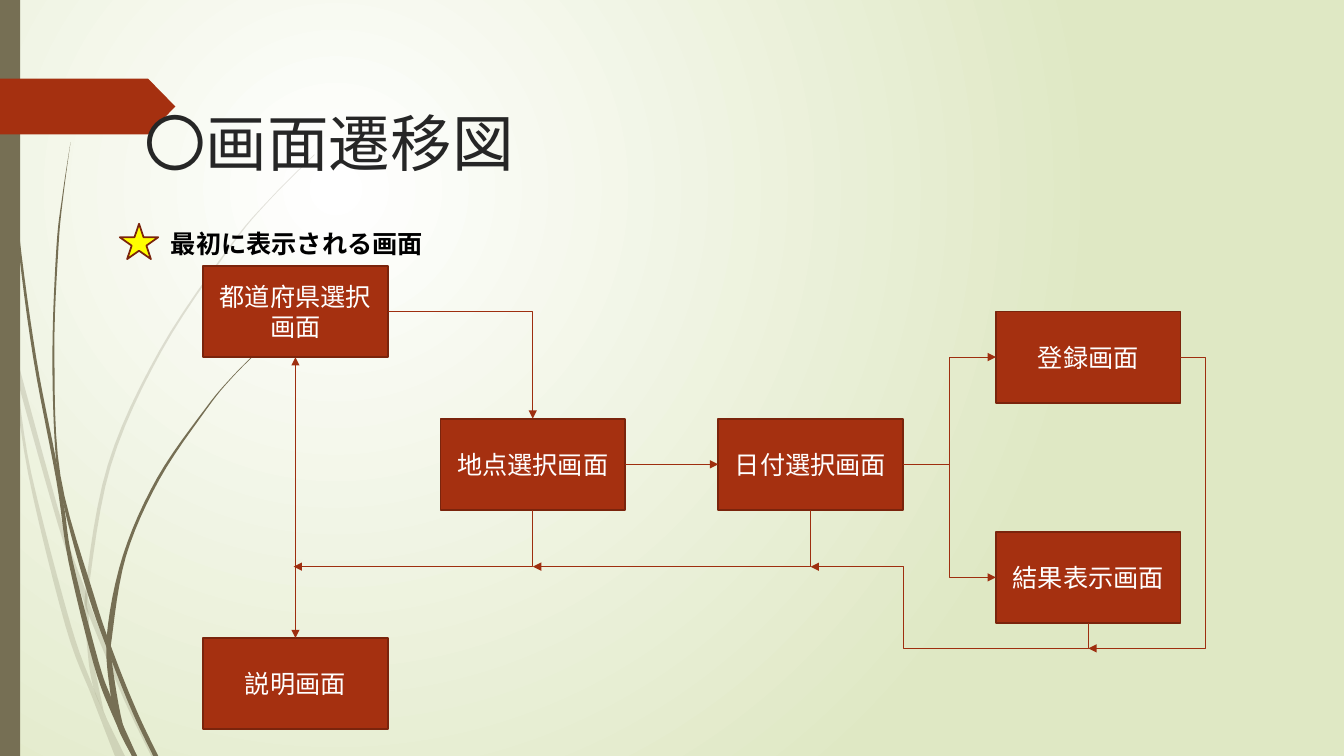
from lxml import etree
from pptx import Presentation
from pptx.dml.color import RGBColor
from pptx.enum import dml, shapes, text
from pptx.oxml import ns
from pptx.util import Cm, Pt

THEME = {
    "red": "A53010", "edge": "7A240C", "arrow": "9E2E0F", "olive": "766F54",
    "star": "FFFF00", "white": "FFFFFF", "black": "000000", "dark": "262626",
    "glow": ("FFFFFF", "DFE8C4"), "body": "TeX Gyre Adventor", "head": "Arial",
    "title": 44, "text": 18, "rim": 1.25, "thin": 0.75,
}
TITLE = "〇画面遷移図"
LABEL = "最初に表示される画面"
SIZE = (4.65, 2.3)
BOXES = {
    "pref": ("都道府県選択画面", 5.12, 6.7),
    "spot": ("地点選択画面", 11.1, 10.55),
    "date": ("日付選択画面", 18.1, 10.55),
    "entry": ("登録画面", 25.1, 7.85),
    "result": ("結果表示画面", 25.1, 13.4),
    "guide": ("説明画面", 5.12, 16.08),
}
TOP, LEFT, BOTTOM, RIGHT = range(4)
RAIL, LOW = 14.28, 16.34
ARROWS = [
    (("spot", RIGHT), ("date", LEFT), "line", {}),
    (("date", RIGHT), ("entry", LEFT), "bentConnector3", {}),
    (("date", RIGHT), ("result", LEFT), "bentConnector3", {}),
    (("pref", BOTTOM), ("guide", TOP), "line", {"both": True}),
    (("spot", BOTTOM), (7.4, RAIL), "bentConnector2", {"turn": True}),
    (("pref", RIGHT), ("spot", TOP), "bentConnector2", {}),
    (("date", BOTTOM), (13.43, RAIL), "bentConnector2", {"turn": True}),
    (("result", BOTTOM), (20.43, RAIL), "bentConnector4",
     {"turn": True, "bends": (-44900, 66600)}),
    (("entry", RIGHT), (27.43, LOW), "bentConnector4",
     {"bends": (-27400, 100000)}),
]
INCH = 2.54
PALE = [
    ([(0, 2.99), (.1, 3.44), (.17, 3.76), (.58, 5.22), (.84, 5.99),
      (.88, 6.1), (1.23, 6.94), (1.5, 7.5)],
     [(1.55, 7.5), (1.27, 6.92), (.92, 6.07), (.85, 5.86), (.62, 5.2),
      (.14, 3.45), (.09, 3.22), (0, 2.82)]),
    ([(.11, 3.5), (.28, 4.7), (.65, 6.21), (.92, 6.93), (1.14, 7.5)],
     [(1.24, 7.5), (1.05, 7.11), (.93, 6.83), (.7, 6.19), (.31, 4.69),
      (.17, 3.76)]),
    ([(3.12, 1.53), (2.68, 1.97), (2.28, 2.44), (1.58, 3.48), (1.07, 4.61),
      (.85, 5.84), (.87, 6.46), (.93, 6.83), (1.05, 7.11)],
     [(1.03, 7.06), (.91, 6.46), (.88, 6.1), (.88, 5.84), (1.1, 4.62),
      (1.6, 3.49), (2.29, 2.45), (2.68, 1.98), (3.12, 1.54)]),
]
DEEP = [
    ([(.03, 0), (.07, 1.1), (.17, 2.33), (.33, 3.55), (.56, 4.77),
      (.68, 5.57), (.93, 6.59), (1.11, 7.08), (1.31, 7.5)],
     [(1.36, 7.5), (1.22, 7.19), (1.1, 6.91), (.98, 6.57), (.72, 5.56),
      (.64, 5.05), (.55, 4.53), (.36, 3.55), (.19, 2.32), (.08, 1.09),
      (.04, 0)]),
    ([(.7, 1.41), (.62, 1.93), (.56, 2.45), (.52, 3.49), (.55, 4.49),
      (.64, 5.05), (.88, 5.92), (1.11, 6.56), (1.32, 7.08), (1.52, 7.5)],
     [(1.57, 7.5), (1.36, 7.06), (1.13, 6.49), (.93, 5.9), (.6, 4.72),
      (.54, 3.49), (.58, 2.45), (.63, 1.93), (.7, 1.41)]),
    ([(2.6, 3.44), (2.31, 3.73), (2.04, 4.05), (1.56, 4.74), (1.22, 5.51),
      (1.06, 6.31), (1.1, 6.91), (1.17, 7.22), (1.31, 7.5)],
     [(1.36, 7.5), (1.22, 7.19), (1.11, 6.56), (1.11, 6.33), (1.25, 5.52),
      (1.58, 4.76), (2.05, 4.06), (2.31, 3.74), (2.61, 3.44)]),
]


def tint(name):
    return RGBColor.from_string(THEME.get(name, name))


def add(parent, tag, **attrs):
    node = etree.SubElement(parent, ns.qn(tag))
    for key, val in attrs.items():
        node.set(key, str(val))
    return node


def write(shape, words, size="text", font="body", color="white", bold=False,
          align=text.PP_ALIGN.LEFT, anchor=text.MSO_ANCHOR.TOP, wrap=True):
    frame = shape.text_frame
    frame.word_wrap = wrap
    frame.auto_size = text.MSO_AUTO_SIZE.NONE
    frame.vertical_anchor = anchor
    para = frame.paragraphs[0]
    para.alignment = align
    run = para.add_run()
    run.text = words
    run.font.size, run.font.name = Pt(THEME[size]), THEME[font]
    run.font.bold, run.font.color.rgb = bold, tint(color)


def paint(shape, fill, edge=None):
    shape.shadow.inherit = False
    shape.fill.solid()
    shape.fill.fore_color.rgb = tint(fill)
    if edge:
        shape.line.color.rgb = tint(edge)
        shape.line.width = Pt(THEME["rim"])
    else:
        shape.line.fill.background()
    return shape


def block(slide, kind, x, y, w, h, fill, edge=None):
    shape = slide.shapes.add_shape(kind, Cm(x), Cm(y), Cm(w), Cm(h))
    return paint(shape, fill, edge)


def smooth(knots, steps=6):
    ends = [knots[0], *knots, knots[-1]]
    out = []
    for a, b, c, d in zip(ends, ends[1:], ends[2:], ends[3:]):
        for t in (i / steps for i in range(steps)):
            out.append(tuple(
                (2 * q + (r - p) * t + (2 * p - 5 * q + 4 * r - s) * t ** 2
                 + (3 * q - p - 3 * r + s) * t ** 3) / 2
                for p, q, r, s in zip(a, b, c, d)))
    return out + [knots[-1]]


def blade(slide, sides, alpha=None):
    dots = [(Cm(x * INCH), Cm(y * INCH)) for side in sides for x, y in smooth(side)]
    pen = slide.shapes.build_freeform(*dots[0])
    pen.add_line_segments(dots[1:], close=True)
    shape = paint(pen.convert_to_shape(), "olive")
    if alpha:
        color = shape.fill._xPr.find(".//" + ns.qn("a:srgbClr"))
        add(color, "a:alpha", val=alpha)


def site(key, side):
    x, y = BOXES[key][1:]
    w, h = SIZE
    return [(x + w / 2, y), (x, y + h / 2), (x + w / 2, y + h), (x + w, y + h / 2)][side]


def arrow(slide, boxes, start, end, kind, both=False, turn=False, bends=()):
    glued = end[0] in boxes
    (ax, ay), (bx, by) = site(*start), site(*end) if glued else end
    style = shapes.MSO_CONNECTOR.STRAIGHT if kind == "line" else shapes.MSO_CONNECTOR.ELBOW
    link = slide.shapes.add_connector(style, Cm(ax), Cm(ay), Cm(bx), Cm(by))
    link.begin_connect(boxes[start[0]], start[1])
    if glued:
        link.end_connect(boxes[end[0]], end[1])
    dx, dy = bx - ax, by - ay
    w, h = (dy, -dx) if turn else (dx, dy)
    link.left, link.top = Cm((ax + bx - abs(w)) / 2), Cm((ay + by - abs(h)) / 2)
    link.width, link.height = Cm(abs(w)), Cm(abs(h))
    props = link._element.spPr
    frame = props.find(ns.qn("a:xfrm"))
    frame.set("rot", "5400000" if turn else "0")
    frame.set("flipH", str(int(w < 0)))
    frame.set("flipV", str(int(h < 0)))
    geom = props.find(ns.qn("a:prstGeom"))
    geom.set("prst", kind)
    if bends:
        guides = geom.find(ns.qn("a:avLst"))
        for i, bend in enumerate(bends, 1):
            add(guides, "a:gd", name=f"adj{i}", fmla=f"val {bend}")
    link.line.color.rgb, link.line.width = tint("arrow"), Pt(THEME["thin"])
    stroke = props.find(ns.qn("a:ln"))
    if both:
        add(stroke, "a:headEnd", type="triangle")
    add(stroke, "a:tailEnd", type="triangle")
    add(props, "a:effectLst")


def backdrop(slide):
    fill = slide.background.fill
    fill.gradient()
    for stop, color, place in zip(fill.gradient_stops, THEME["glow"], (0, 1)):
        stop.color.rgb, stop.position = tint(color), place
    grad = slide._element.find(".//" + ns.qn("a:gradFill"))
    grad.remove(grad.find(ns.qn("a:lin")))
    ring = add(grad, "a:path", path="circle")
    add(ring, "a:fillToRect", l=50000, t=50000, r=100000, b=100000)


def main():
    deck = Presentation()
    deck.slide_width, deck.slide_height = Cm(33.87), Cm(19.05)
    slide = deck.slides.add_slide(deck.slide_layouts[5])
    kinds = shapes.MSO_SHAPE
    backdrop(slide)
    for sides in PALE:
        blade(slide, sides, alpha=20000)
    for sides in DEEP:
        blade(slide, sides)
    block(slide, kinds.RECTANGLE, 0, 0, 0.51, 19.05, "olive")
    tag = block(slide, kinds.PENTAGON, 0, 1.98, 4.42, 1.41, "red")
    tag.adjustments[0] = 0.49

    title = slide.shapes.title
    title.left, title.top, title.width, title.height = Cm(3.38), Cm(2.51), Cm(24.77), Cm(3.56)
    write(title, TITLE, size="title", font="head", color="dark")
    slide.shapes._spTree.append(title._element)

    boxes = {}
    for key, (words, x, y) in BOXES.items():
        boxes[key] = block(slide, kinds.FLOWCHART_PROCESS, x, y, *SIZE, "red", "edge")
        write(boxes[key], words, align=text.PP_ALIGN.CENTER, anchor=text.MSO_ANCHOR.MIDDLE)
    for start, end, kind, form in ARROWS:
        arrow(slide, boxes, start, end, kind, **form)

    block(slide, kinds.STAR_5_POINT, 3.02, 5.64, 0.97, 0.89, "star", "edge")
    note = slide.shapes.add_textbox(Cm(4.06), Cm(5.64), Cm(7.06), Cm(1.02))
    write(note, LABEL, color="black", bold=True, wrap=False)
    deck.save("out.pptx")


if __name__ == "__main__":
    main()
